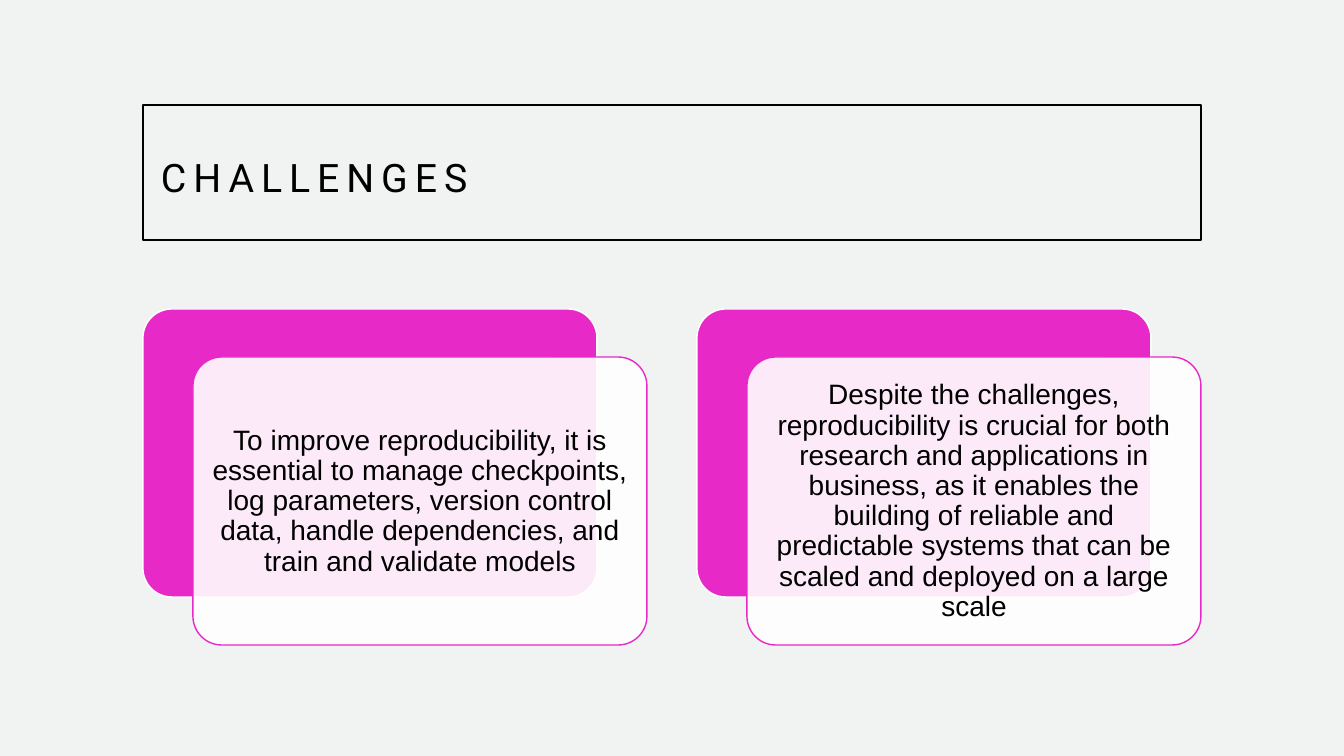
"""Builds the Challenges slide with a framed title and two layered cards."""
import pptx
import pptx.dml.color
import pptx.enum.shapes
import pptx.enum.text
import pptx.util
import lxml.etree

SCALE = 12192000 / 1344
PINK, WHITE, BLACK = "E729C7", "FFFFFF", "000000"
SHAPES = pptx.enum.shapes.MSO_SHAPE


def px(*lengths):
    return [pptx.util.Emu(round(length * SCALE)) for length in lengths]


def color(code):
    return pptx.dml.color.RGBColor.from_string(code)


deck = pptx.Presentation()
deck.slide_width, deck.slide_height = px(1344, 756)
page = deck.slides.add_slide(deck.slide_layouts[6])
page.background.fill.solid()
page.background.fill.fore_color.rgb = color("F0F3F1")

frame = page.shapes.add_shape(SHAPES.RECTANGLE, *px(143, 105, 1058, 135))
frame.shadow.inherit = False
frame.fill.background()
frame.line.color.rgb = color(BLACK)
frame.line.width = pptx.util.Pt(1)

texts = [("CHALLENGES", (151, 135, 1041, 75), 28, "Roboto", 1.2,
          pptx.enum.text.PP_ALIGN.LEFT, (10, 5), 500)]

messages = [
    "To improve reproducibility, it is essential to manage checkpoints, "
    "log parameters, version control data, handle dependencies, and "
    "train and validate models",
    "Despite the challenges, reproducibility is crucial for both research "
    "and applications in business, as it enables the building of reliable "
    "and predictable systems that can be scaled and deployed on a large scale",
]
for index, message in enumerate(messages):
    left, top = 143 + index * 554, 309
    for offset_x, offset_y, fill, outline in [(0, 0, PINK, WHITE), (50, 48, WHITE, PINK)]:
        card = page.shapes.add_shape(
            SHAPES.ROUNDED_RECTANGLE, *px(left + offset_x, top + offset_y, 454, 288))
        card.adjustments[0] = 0.1
        card.shadow.inherit = False
        card.fill.solid()
        card.fill.fore_color.rgb = color(fill)
        card.line.color.rgb = color(outline)
        card.line.width = pptx.util.Pt(1)
    front_fill = card.fill._xPr.find(".//" + pptx.oxml.ns.qn("a:srgbClr"))
    lxml.etree.SubElement(front_fill, pptx.oxml.ns.qn("a:alpha"), val="90000")
    texts.append((message, (left + 59, top + 57, 436, 271), 20, "Arial", 0.9,
                  pptx.enum.text.PP_ALIGN.CENTER, (8, 8), 0))

for text, place, size, font, spacing, alignment, insets, tracking in texts:
    box = page.shapes.add_textbox(*px(*place))
    body = box.text_frame
    body.word_wrap = True
    body.vertical_anchor = pptx.enum.text.MSO_ANCHOR.MIDDLE
    body.margin_left, body.margin_top = px(*insets)
    body.margin_right, body.margin_bottom = px(*insets)
    para = body.paragraphs[0]
    para.alignment = alignment
    para.line_spacing = spacing
    span = para.add_run()
    span.text = text
    span.font.size = pptx.util.Pt(size)
    span.font.name = font
    span.font.color.rgb = color(BLACK)
    if tracking:
        span.font._element.set("spc", str(tracking))

deck.save("out.pptx")
